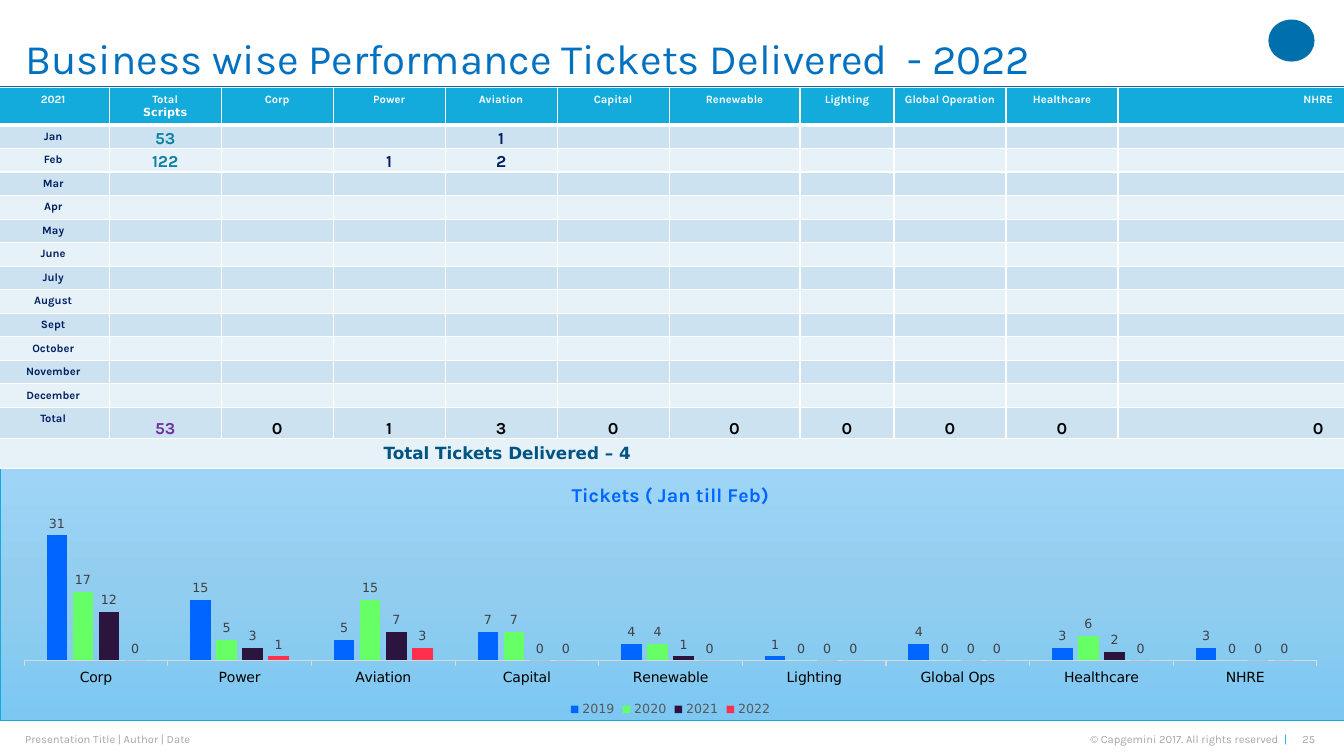
from copy import deepcopy

from lxml import etree
from pptx import Presentation
from pptx.chart.data import CategoryChartData
from pptx.dml.color import RGBColor
from pptx.enum.chart import XL_CHART_TYPE as ChartType
from pptx.enum.chart import XL_LABEL_POSITION as LabelPosition
from pptx.enum.chart import XL_LEGEND_POSITION as LegendPosition
from pptx.enum.chart import XL_TICK_MARK as TickMark
from pptx.enum.shapes import MSO_CONNECTOR as Connector
from pptx.enum.shapes import MSO_SHAPE as Shape
from pptx.enum.text import MSO_ANCHOR as Anchor
from pptx.enum.text import PP_ALIGN as Align
from pptx.oxml import parse_xml
from pptx.oxml.ns import nsdecls, qn
from pptx.util import Pt

WHITE = RGBColor(0xFF, 0xFF, 0xFF)
BLACK = RGBColor(0, 0, 0)
CYAN = RGBColor(0x12, 0xAB, 0xDB)
BLUE = RGBColor(0x00, 0x70, 0xAD)
TITLE_BLUE = RGBColor(0x00, 0x70, 0xC0)
NAVY = RGBColor(0x00, 0x20, 0x60)
TEAL = RGBColor(0x0D, 0x80, 0xA4)
PURPLE = RGBColor(0x70, 0x30, 0xA0)
DEEP_BLUE = RGBColor(0x00, 0x54, 0x82)
BAND_DARK = RGBColor(0xCC, 0xE2, 0xF1)
BAND_LIGHT = RGBColor(0xE7, 0xF1, 0xF8)
FOOTER_GREY = RGBColor(0xA6, 0xA6, 0xA6)
LABEL_GREY = RGBColor(0x40, 0x40, 0x40)
LEGEND_GREY = RGBColor(0x59, 0x59, 0x59)
AXIS_GREY = RGBColor(0xD9, 0xD9, 0xD9)
CHART_BLUE = RGBColor(0x00, 0x66, 0xFF)
CHART_GREEN = RGBColor(0x66, 0xFF, 0x66)
CHART_PLUM = RGBColor(0x2B, 0x14, 0x3D)
CHART_RED = RGBColor(0xFF, 0x30, 0x4C)
PANEL_STOPS = [(0, RGBColor(0x9E, 0xD5, 0xF6)), (0.5, RGBColor(0x91, 0xCD, 0xEF)),
               (1, RGBColor(0x7C, 0xC8, 0xF3))]

KARLA, DEJAVU = "Karla", "DejaVu Sans"
PANEL_TOP, PANEL_HEIGHT = 334.8, 180

HEADERS = ["2021", "Total\nScripts", "Corp", "Power", "Aviation", "Capital", "Renewable",
           "Lighting", "Global Operation", "Healthcare", "NHRE", "Infra"]
MONTHS = ["Jan", "Feb", "Mar", "Apr", "May", "June", "July", "August", "Sept",
          "October", "November", "December"]
TICKETS = {"Jan": {1: 53, 4: 1}, "Feb": {1: 122, 3: 1, 4: 2}}
TOTALS = [53, 0, 1, 3, 0, 0, 0, 0, 0, 0, 0]
COLUMN_WIDTHS = [80] * 6 + [93.5, 67.2] + [80] * 4
ROW_HEIGHTS = [26.5] + [16.8] * 12 + [22.3, 21.5]

CATEGORIES = ["Corp", "Power", "Aviation", "Capital", "Renewable", "Lighting",
              "Global Ops", "Healthcare", "NHRE"]
SERIES = [
    ("2019", [31, 15, 5, 7, 4, 1, 4, 3, 3], CHART_BLUE),
    ("2020", [17, 5, 15, 7, 4, 0, 0, 6, 0], CHART_GREEN),
    ("2021", [12, 3, 7, 0, 1, 0, 0, 2, 0], CHART_PLUM),
    ("2022", [0, 1, 3, 0, 0, 0, 0, 0, 0], CHART_RED),
]


def style_font(font, size, color, name=KARLA, bold=False):
    font.size, font.name, font.bold = Pt(size), name, bold
    font.color.rgb = color


def clear_margins(frame):
    frame.margin_left = frame.margin_right = frame.margin_top = frame.margin_bottom = 0
    frame.vertical_anchor = Anchor.MIDDLE


def add_title(page, text):
    title = page.shapes.title
    title.left, title.top, title.width, title.height = Pt(18), 0, Pt(876), Pt(87)
    clear_margins(title.text_frame)
    title.text_frame.text = text
    para = title.text_frame.paragraphs[0]
    para.alignment, para.line_spacing = Align.LEFT, 0.9
    style_font(para.runs[0].font, 30, TITLE_BLUE)


def add_footer(page, left, width, spans, align=Align.LEFT):
    box = page.shapes.add_textbox(Pt(left), Pt(523.4), Pt(width), Pt(9.4))
    clear_margins(box.text_frame)
    box.text_frame.word_wrap = True
    para = box.text_frame.paragraphs[0]
    para.alignment = align
    for text, color in spans:
        span = para.add_run()
        span.text = text
        style_font(span.font, 8, color)


def add_brand_mark(page):
    mark = page.shapes.add_shape(Shape.OVAL, Pt(906), Pt(14), Pt(33), Pt(30))
    mark.shadow.inherit = False
    mark.fill.solid()
    mark.fill.fore_color.rgb = BLUE
    mark.line.fill.background()


def add_rule(page):
    rule = page.shapes.add_connector(Connector.STRAIGHT, 0, Pt(62.6), Pt(960), Pt(62.6))
    rule.line.color.rgb, rule.line.width = BLUE, Pt(2.25)
    etree.SubElement(rule._element.spPr, qn("a:effectLst"))


def add_panel(page):
    panel = page.shapes.add_shape(Shape.RECTANGLE, 0, Pt(PANEL_TOP), Pt(960), Pt(PANEL_HEIGHT))
    panel.shadow.inherit = False
    panel.line.color.rgb, panel.line.width = CYAN, Pt(0.5)
    panel.fill.gradient()
    panel.fill.gradient_angle = 270
    stop_list = panel._element.spPr.find(".//" + qn("a:gsLst"))
    stop_list.insert(1, deepcopy(stop_list[0]))
    for stop, (position, color) in zip(panel.fill.gradient_stops, PANEL_STOPS):
        stop.position, stop.color.rgb = position, color


def format_cell(cell, fill, bottom_width=1):
    """Fill the cell, draw white borders and keep its empty text small."""
    properties = cell._tc.get_or_add_tcPr()
    for side, width in (("L", 1), ("R", 1), ("T", 1), ("B", bottom_width)):
        properties.append(parse_xml(
            f'<a:ln{side} {nsdecls("a")} w="{Pt(width)}"><a:solidFill>'
            f'<a:srgbClr val="{WHITE}"/></a:solidFill></a:ln{side}>'))
    cell.fill.solid()
    cell.fill.fore_color.rgb = fill
    cell.text_frame.paragraphs[0]._p.get_or_add_endParaRPr().set("sz", "800")


def write_cell(cell, text, size, color, name=KARLA, align=Align.CENTER):
    cell.text_frame.text = text
    for para in cell.text_frame.paragraphs:
        para.alignment = align
        style_font(para.runs[0].font, size, color, name, True)


def write_count(cell, count, color):
    write_cell(cell, str(count), 12, color)
    cell.vertical_anchor = Anchor.BOTTOM
    cell.margin_left = cell.margin_right = cell.margin_top = Pt(0.7)
    cell.margin_bottom = 0


def add_ticket_table(page):
    table = page.shapes.add_table(len(ROW_HEIGHTS), len(COLUMN_WIDTHS), Pt(-2), Pt(62.8),
                                  Pt(sum(COLUMN_WIDTHS)), Pt(sum(ROW_HEIGHTS))).table
    table.first_row = table.horz_banding = False
    for column, width in zip(table.columns, COLUMN_WIDTHS):
        column.width = Pt(width)
    for index, (row, height) in enumerate(zip(table.rows, ROW_HEIGHTS)):
        row.height = Pt(height)
        band = BAND_DARK if index % 2 else BAND_LIGHT
        for cell in row.cells:
            format_cell(cell, band if index else CYAN, 1 if index else 3)

    for column, header in enumerate(HEADERS):
        write_cell(table.cell(0, column), header, 8, WHITE)
    table.cell(0, 1).text_frame.paragraphs[1].runs[0].font.name = DEJAVU
    for row, month in enumerate(MONTHS + ["Total"], 1):
        write_cell(table.cell(row, 0), month, 8, NAVY)
        for column, count in TICKETS.get(month, {}).items():
            write_count(table.cell(row, column), count, TEAL if column == 1 else NAVY)
    for column, count in enumerate(TOTALS, 1):
        write_count(table.cell(13, column), count, PURPLE if column == 1 else BLACK)

    summary = table.cell(14, 0)
    summary.merge(table.cell(14, 10))
    write_cell(summary, "Total Tickets Delivered – 4", 12, DEEP_BLUE, DEJAVU, Align.LEFT)
    summary.margin_left = Pt(276)


def place_plot(chart):
    """Fix the inner plot area and leave the chart background clear."""
    area = chart._chartSpace.chart.plotArea
    for layout in area.findall(qn("c:layout")):
        area.remove(layout)
    sizes = "".join(f'<c:{key} val="{value}"/>' for key, value in
                    (("x", 0.02), ("y", 0.2), ("w", 0.96), ("h", 0.56)))
    area.insert(0, parse_xml(
        f'<c:layout {nsdecls("c")}><c:manualLayout><c:layoutTarget val="inner"/>'
        f'<c:xMode val="edge"/><c:yMode val="edge"/>{sizes}</c:manualLayout></c:layout>'))
    chart._chartSpace.find(qn("c:txPr")).addprevious(parse_xml(
        f'<c:spPr {nsdecls("c", "a")}><a:noFill/><a:ln><a:noFill/></a:ln></c:spPr>'))


def add_ticket_chart(page):
    chart_data = CategoryChartData()
    chart_data.categories = CATEGORIES
    for name, values, _ in SERIES:
        chart_data.add_series(name, values)
    chart = page.shapes.add_chart(ChartType.COLUMN_CLUSTERED, Pt(-2), Pt(PANEL_TOP), Pt(962),
                                  Pt(PANEL_HEIGHT), chart_data).chart
    style_font(chart.font, 10, BLACK, DEJAVU)
    chart.has_title = True
    chart.chart_title.include_in_layout = False
    chart.chart_title.text_frame.text = "Tickets ( Jan till Feb)"
    style_font(chart.chart_title.text_frame.paragraphs[0].runs[0].font, 14, CHART_BLUE, bold=True)
    chart.has_legend = True
    chart.legend.position, chart.legend.include_in_layout = LegendPosition.BOTTOM, False
    style_font(chart.legend.font, 9, LEGEND_GREY, DEJAVU)

    value_axis, category_axis = chart.value_axis, chart.category_axis
    value_axis.visible = value_axis.has_major_gridlines = False
    value_axis.minimum_scale, value_axis.maximum_scale = 0, 35
    category_axis.major_tick_mark = TickMark.OUTSIDE
    category_axis.format.line.color.rgb = AXIS_GREY
    category_axis.format.line.width = Pt(0.75)
    style_font(category_axis.tick_labels.font, 10, BLACK, DEJAVU)

    plot = chart.plots[0]
    plot.gap_width, plot.overlap, plot.vary_by_categories = 219, -27, False
    for series, (_, _, color) in zip(plot.series, SERIES):
        series.format.fill.solid()
        series.format.fill.fore_color.rgb = color
        labels = series.data_labels
        labels.show_value, labels.position = True, LabelPosition.OUTSIDE_END
        style_font(labels.font, 9, LABEL_GREY, DEJAVU)
    place_plot(chart)


def main():
    deck = Presentation()
    deck.slide_width, deck.slide_height = Pt(960), Pt(540)
    page = deck.slides.add_slide(deck.slide_layouts[5])
    add_brand_mark(page)
    add_footer(page, 925, 14.5, [("25", FOOTER_GREY)], Align.RIGHT)
    add_footer(page, 710, 209.5, [("© Capgemini 2017. All rights reserved  ", FOOTER_GREY),
                                  ("|", CYAN)], Align.RIGHT)
    add_footer(page, 18, 371.5, [("Presentation Title | Author | Date", FOOTER_GREY)])
    add_title(page, "Business wise Performance Tickets Delivered  - 2022")
    add_rule(page)
    add_panel(page)
    add_ticket_table(page)
    add_ticket_chart(page)
    deck.save("out.pptx")


if __name__ == "__main__":
    main()
